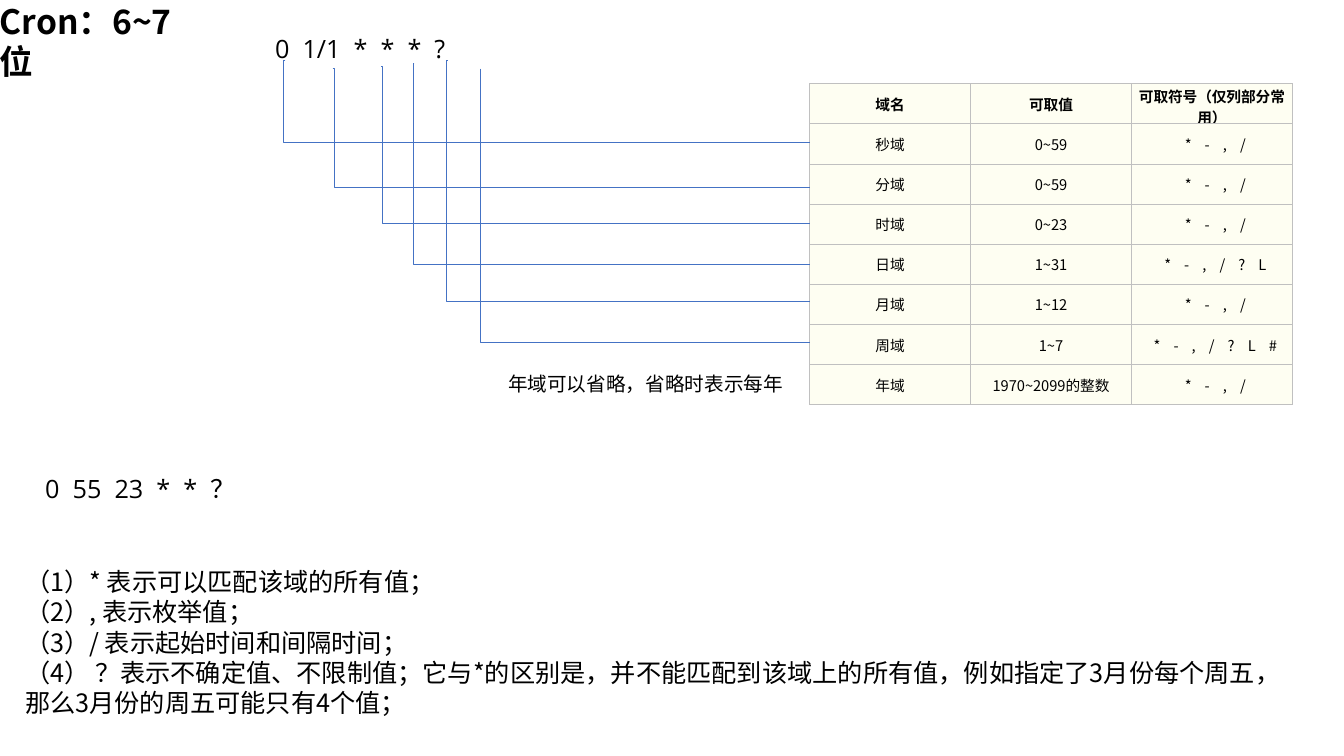
from dataclasses import dataclass

from lxml.etree import SubElement
from pptx import Presentation
from pptx.dml.color import RGBColor
from pptx.enum.shapes import MSO_CONNECTOR
from pptx.enum.text import MSO_ANCHOR, MSO_AUTO_SIZE, PP_ALIGN
from pptx.oxml.ns import qn
from pptx.util import Inches, Pt


@dataclass(frozen=True)
class Theme:
    """Colours, fonts and type sizes of the slide."""
    ink: str = "000000"
    wire: str = "4472C4"
    grid: str = "C0C0C0"
    cell: str = "FEFEF2"
    cjk: str = "Noto Sans CJK SC"
    latin: str = "Open Sans"
    title: float = 24
    body: float = 18
    remark: float = 14
    table: float = 10.5


THEME = Theme()
GAP = "\u00a0 "
HEADINGS = ("域名", "可取值", "可取符号（仅列部分常用）")
COMMON = "*-,/"
FIELDS = (
    ("秒域", "0~59", COMMON),
    ("分域", "0~59", COMMON),
    ("时域", "0~23", COMMON),
    ("日域", "1~31", COMMON + "?L"),
    ("月域", "1~12", COMMON),
    ("周域", "1~7", COMMON + "?L#"),
    ("年域", "1970~2099的整数", COMMON),
)
RULES = (
    "（1）* 表示可以匹配该域的所有值；",
    "（2）, 表示枚举值；",
    "（3）/ 表示起始时间和间隔时间；",
    "（4） ？表示不确定值、不限制值；它与*的区别是，并不能匹配到该域上的所有值，"
    "例如指定了3月份每个周五，那么3月份的周五可能只有4个值；",
)
# Start x, start y, x of the vertical leg, y at the table
WIRES = (
    (2.83, 0.60, 2.81, 1.41),
    (3.30, 0.68, 3.32, 1.86),
    (3.78, 0.66, 3.79, 2.22),
    (4.11, 0.63, 4.10, 2.62),
    (4.44, 0.60, 4.43, 2.99),
    (4.76, 0.68, 4.76, 3.40),
)
TABLE_LEFT, TABLE_TOP, TABLE_WIDTH, TABLE_HEIGHT = 8.03, 0.83, 4.79, 3.19


def write(frame, *lines, size=THEME.body, font=THEME.cjk, bold=False, align=PP_ALIGN.LEFT):
    """Fill a text frame with one paragraph per line."""
    for index, line in enumerate(lines):
        paragraph = frame.paragraphs[0] if index == 0 else frame.add_paragraph()
        paragraph.alignment = align
        run = paragraph.add_run()
        run.text = line
        run.font.size = Pt(size)
        run.font.name = font
        run.font.bold = bold
        run.font.color.rgb = RGBColor.from_string(THEME.ink)
        SubElement(run.font._element, qn("a:ea"), typeface=THEME.cjk)


def add_text(slide, box, *lines, wrap=False, **style):
    """Add a text box at (left, top, width, height) in inches."""
    frame = slide.shapes.add_textbox(*map(Inches, box)).text_frame
    frame.word_wrap = wrap
    frame.auto_size = MSO_AUTO_SIZE.SHAPE_TO_FIT_TEXT
    write(frame, *lines, **style)


def add_wire(slide, x, y, leg_x, end_y):
    """Run an elbow line from a cron symbol to its table row."""
    wire = slide.shapes.add_connector(
        MSO_CONNECTOR.ELBOW, Inches(x), Inches(y), Inches(TABLE_LEFT), Inches(end_y))
    wire.line.color.rgb = RGBColor.from_string(THEME.wire)
    wire.line.width = Pt(0.5)
    properties = wire._element.spPr
    bend = round((leg_x - x) / (TABLE_LEFT - x) * 100000)
    guides = properties.find(qn("a:prstGeom")).get_or_add_avLst()
    SubElement(guides, qn("a:gd"), name="adj1", fmla=f"val {bend}")
    SubElement(properties, qn("a:effectLst"))


def style_cell(cell):
    """Give a cell its fill, margins and four thin borders."""
    cell.vertical_anchor = MSO_ANCHOR.MIDDLE
    cell.margin_left = cell.margin_right = Inches(0.04)
    cell.margin_top = cell.margin_bottom = Inches(0.02)
    properties = cell._tc.get_or_add_tcPr()
    for side in ("lnL", "lnR", "lnT", "lnB"):
        border = SubElement(properties, qn(f"a:{side}"), w=str(Pt(0.75)))
        SubElement(SubElement(border, qn("a:solidFill")), qn("a:srgbClr"), val=THEME.grid)
    cell.fill.solid()
    cell.fill.fore_color.rgb = RGBColor.from_string(THEME.cell)


def add_field_table(slide):
    """Add the table of cron fields, values and symbols."""
    rows = [HEADINGS] + [
        (name, values, GAP + (GAP * 2).join(symbols)) for name, values, symbols in FIELDS]
    box = map(Inches, (TABLE_LEFT, TABLE_TOP, TABLE_WIDTH, TABLE_HEIGHT))
    table = slide.shapes.add_table(len(rows), len(HEADINGS), *box).table
    table.first_row = table.horz_banding = False
    for row_index, row in enumerate(rows):
        for column_index, content in enumerate(row):
            cell = table.cell(row_index, column_index)
            style_cell(cell)
            write(cell.text_frame, content, size=THEME.table,
                  bold=row_index == 0, align=PP_ALIGN.CENTER)


def main():
    """Build the slide and save it."""
    deck = Presentation()
    deck.slide_width, deck.slide_height = Inches(13.33), Inches(7.5)
    slide = deck.slides.add_slide(deck.slide_layouts[6])
    add_text(slide, (0.15, 5.57, 12.5, 1.62), *RULES, wrap=True)
    add_field_table(slide)
    add_text(slide, (2.63, 0.28, 2.32, 0.4),
             GAP.join(("0", "1/1", "*", "*", "*", "?")), font=THEME.latin)
    for wire in WIRES:
        add_wire(slide, *wire)
    add_text(slide, (4.94, 3.64, 2.95, 0.34), "年域可以省略，省略时表示每年",
             size=THEME.remark, font=THEME.latin)
    add_text(slide, (0.35, 4.65, 2.48, 0.4),
             GAP.join(("0", "55", "23", "*", "*", "？")), font=THEME.latin)
    add_text(slide, (-0.1, -0.04, 2.21, 0.5), "Cron：6~7位",
             wrap=True, size=THEME.title, bold=True)
    deck.save("out.pptx")


if __name__ == "__main__":
    main()
